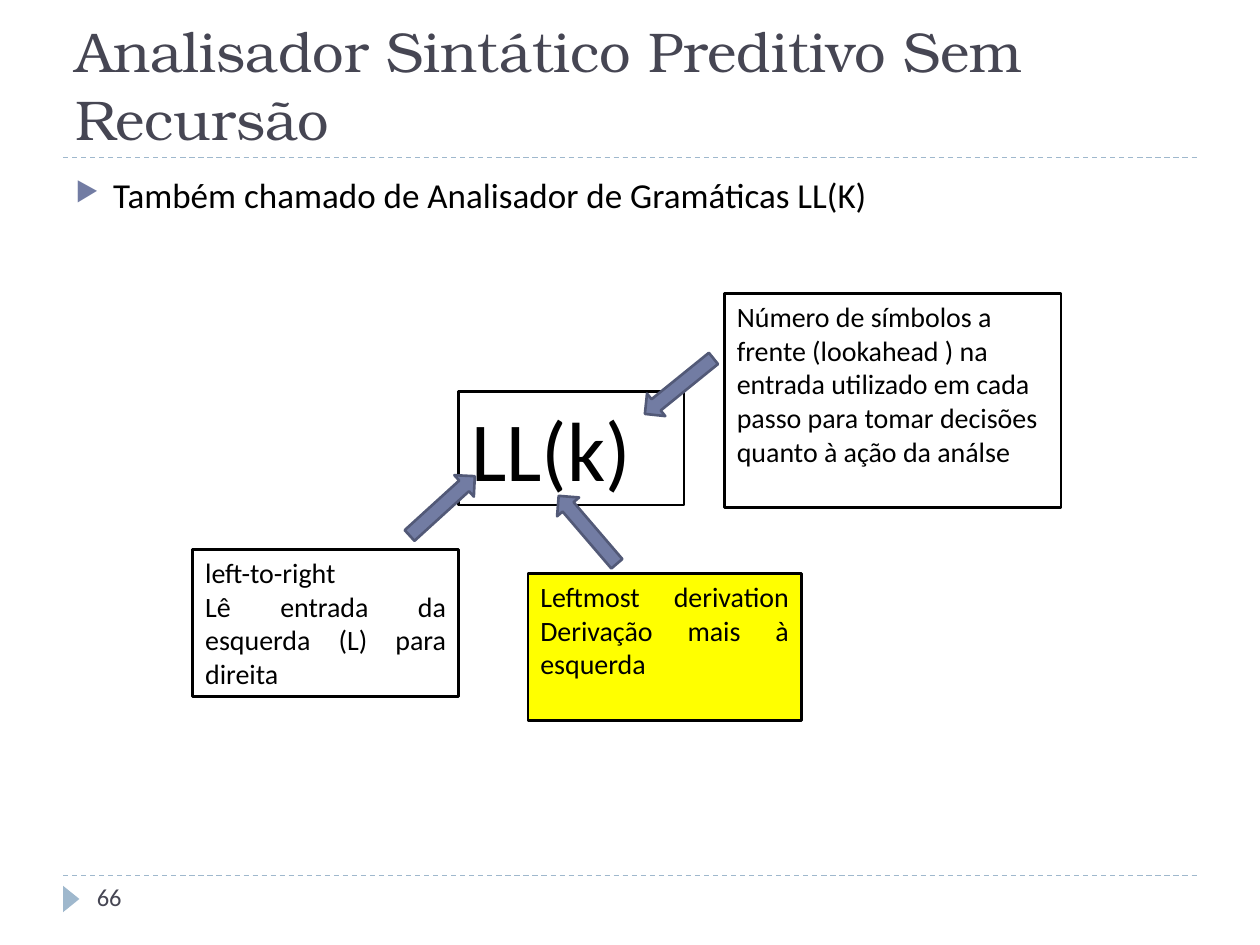
from lxml import etree
from pptx import Presentation
from pptx.dml.color import RGBColor
from pptx.enum.dml import MSO_LINE
from pptx.enum.shapes import MSO_CONNECTOR, MSO_SHAPE
from pptx.enum.text import MSO_ANCHOR, PP_ALIGN
from pptx.oxml.ns import qn
from pptx.util import Inches, Pt

STRAIGHT = MSO_CONNECTOR.STRAIGHT
RECTANGLE = MSO_SHAPE.RECTANGLE
TRIANGLE = MSO_SHAPE.ISOSCELES_TRIANGLE
RIGHT_ARROW = MSO_SHAPE.RIGHT_ARROW
DASH = MSO_LINE.DASH
TOP, BOTTOM = MSO_ANCHOR.TOP, MSO_ANCHOR.BOTTOM
LEFT, JUSTIFY = PP_ALIGN.LEFT, PP_ALIGN.JUSTIFY

COLORS = {
    "heading": "464653",
    "text": "000000",
    "rule": "9FB8CD",
    "arrow": "727CA3",
    "arrow_edge": "525977",
    "highlight": "FFFF00",
    "paper": "FFFFFF",
}


def color(name):
    return RGBColor.from_string(COLORS[name])


class SlideBuilder:
    """Holds the style and the current slide, and draws each kind of element."""

    heading_font = "TeX Gyre Bonum"
    body_font = "Calibri"

    def __init__(self, slide):
        self.slide = slide

    def rule(self, y):
        line = self.slide.shapes.add_connector(
            STRAIGHT, Inches(0.5), Inches(y), Inches(9.5), Inches(y))
        line.line.color.rgb = color("rule")
        line.line.width = Pt(0.75)
        line.line.dash_style = DASH
        etree.SubElement(line._element.spPr, qn("a:effectLst"))

    def fill_text(self, frame, paragraphs, size, ink="text", font=None,
                  align=LEFT, anchor=TOP):
        frame.word_wrap = True
        frame.vertical_anchor = anchor
        for index, words in enumerate(paragraphs):
            paragraph = frame.add_paragraph() if index else frame.paragraphs[0]
            paragraph.alignment = align
            run = paragraph.add_run()
            run.text = words
            run.font.name = font or self.body_font
            run.font.size = Pt(size)
            run.font.color.rgb = color(ink)

    def text(self, place, words, size, **style):
        box = self.slide.shapes.add_textbox(*map(Inches, place))
        self.fill_text(box.text_frame, [words], size, **style)
        return box.text_frame.paragraphs[0]

    def bullet(self, place, words, size):
        paragraph = self.text(place, words, size)
        properties = paragraph._p.get_or_add_pPr()
        properties.set("marL", str(Inches(0.3)))
        properties.set("indent", str(-Inches(0.3)))
        tint = etree.SubElement(properties, qn("a:buClr"))
        etree.SubElement(tint, qn("a:srgbClr"), val=COLORS["arrow"])
        etree.SubElement(properties, qn("a:buSzPct"), val="76000")
        etree.SubElement(properties, qn("a:buChar"), char="▶")

    def shape(self, kind, place, fill=None, edge=None, rotation=0):
        shape = self.slide.shapes.add_shape(kind, *map(Inches, place))
        shape.shadow.inherit = False
        shape.rotation = rotation
        if fill:
            shape.fill.solid()
            shape.fill.fore_color.rgb = color(fill)
        else:
            shape.fill.background()
        if edge:
            shape.line.color.rgb = color(edge)
            shape.line.width = Pt(1.5)
        else:
            shape.line.fill.background()
        return shape

    def note(self, place, paragraphs, size=16, fill=None, align=LEFT):
        box = self.shape(RECTANGLE, place, fill, "text")
        self.fill_text(box.text_frame, paragraphs, size, align=align)

    def arrow(self, left, top, width, rotation):
        self.shape(RIGHT_ARROW, (left, top, width, 0.23), "arrow", "arrow_edge", rotation)


def main():
    deck = Presentation()
    deck.slide_width, deck.slide_height = Inches(10), Inches(7.5)
    builder = SlideBuilder(deck.slides.add_slide(deck.slide_layouts[6]))

    for y in (6.95, 1.25):
        builder.rule(y)
    builder.shape(TRIANGLE, (0.46, 7.07, 0.21, 0.13), "rule", rotation=90)

    builder.text((0.5, 0.17, 9, 1.08), "Analisador Sintático Preditivo Sem Recursão", 32,
                 ink="heading", font=builder.heading_font, anchor=BOTTOM)
    builder.bullet((0.5, 1.33, 9, 5.4), "Também chamado de Analisador de Gramáticas LL(K)", 20)
    builder.text((0.67, 6.95, 2.17, 0.4), "66", 14, ink="heading")

    builder.note((3.64, 3.11, 1.79, 0.9), ["LL(k)"], size=48, fill="paper")
    builder.note((1.53, 4.36, 2.11, 1.17),
                 ["left-to-right", "Lê entrada da esquerda (L) para direita"], align=JUSTIFY)
    builder.arrow(3.16, 3.9, 0.7, 317.7)
    builder.note((4.19, 4.55, 2.17, 1.17),
                 ["Leftmost derivation Derivação mais à esquerda"],
                 fill="highlight", align=JUSTIFY)
    builder.arrow(4.31, 4.09, 0.71, 229.4)
    builder.note((5.75, 2.33, 2.67, 1.7),
                 ["Número de símbolos a frente (lookahead ) na entrada utilizado em cada "
                  "passo para tomar decisões quanto à ação da análse"])
    builder.arrow(5.04, 2.95, 0.7, 141)

    deck.save("out.pptx")


if __name__ == "__main__":
    main()
